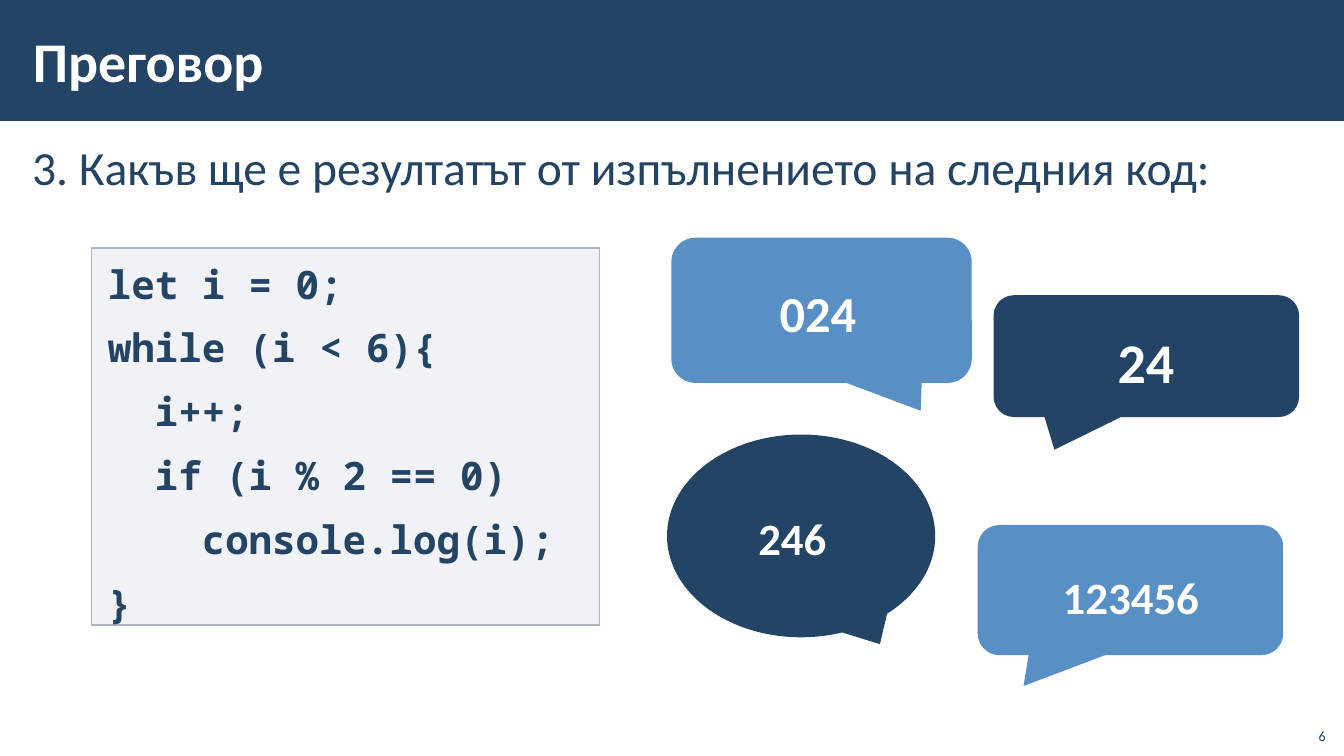
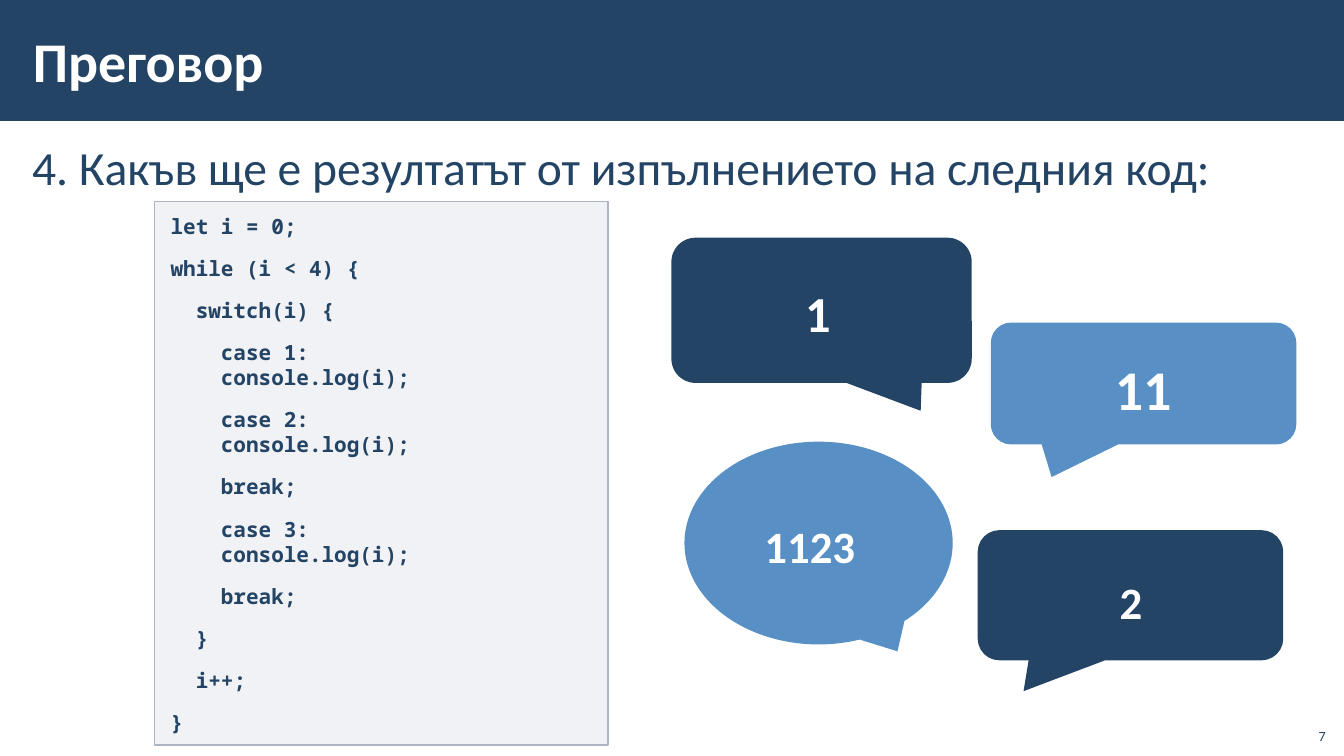
"""Build two review slides that ask what a piece of code prints."""
from lxml.etree import SubElement
from pptx import Presentation
from pptx.dml.color import RGBColor
from pptx.enum.shapes import MSO_SHAPE as Preset
from pptx.enum.text import MSO_ANCHOR as Anchor, PP_ALIGN as Align
from pptx.oxml.ns import qn
from pptx.util import Cm, Pt

NAVY = RGBColor(0x23, 0x44, 0x65)
BLUE = RGBColor(0x58, 0x8F, 0xC5)
WHITE = RGBColor(0xFF, 0xFF, 0xFF)
CODE_FILL = RGBColor(0xA3, 0xAB, 0xBC)
CODE_LINE = RGBColor(0xAD, 0xB4, 0xC3)
TEXT_FONT = "Calibri"
CODE_FONT = "Noto Sans Mono"

WIDTH, HEIGHT = 33.87, 19.05
BAND_BOX = (0, 0, WIDTH, 3.05)
TITLE_BOX = (0.53, 0.28, 27, 2.46)
QUESTION_BOX = (0.51, 3.3, 32.79, 14.4)
NUMBER_BOX = (32.64, 18.08, 1.02, 0.81)
TEXT_INSETS = (0.3, 0.1, 0.3, 0.1)
CODE_INSETS = (0.41, 0.3, 0.41, 0.3)
NUMBER_INSETS = (0.25, 0.13, 0.25, 0.13)

TITLE = "Преговор"
QUESTION = "{}. Какъв ще е резултатът от изпълнението на следния код:"

BUBBLES = {
    "ellipse": dict(preset=Preset.OVAL_CALLOUT, size=(6.76, 5.11), tail=(0.294, 0.534),
                    label=(-1.63, 1.63, 8.31, 1.98), points=32, spacing=1.0, indent=1.27),
    "right": dict(preset=Preset.ROUNDED_RECTANGULAR_CALLOUT, size=(7.7, 3.07), tail=(-0.301, 0.768),
                  label=(0.03, 0.34, 7.62, 2.39), points=40, spacing=1.1, indent=0),
    "bottom": dict(preset=Preset.ROUNDED_RECTANGULAR_CALLOUT, size=(7.7, 3.28), tail=(-0.35, 0.737),
                   label=(-0.05, 0.7, 7.82, 2.03), points=32, spacing=1.1, indent=0),
    "top": dict(preset=Preset.ROUNDED_RECTANGULAR_CALLOUT, size=(7.57, 3.66), tail=(0.33, 0.692),
                label=(0.81, 0.66, 5.77, 2.21), points=36, spacing=1.1, indent=0),
}

SLIDES = [
    dict(
        question=3, number=6, code_box=(2.31, 6.25, 12.8, 9.5), code_points=28,
        code=["let i = 0;", "while (i < 6){", "  i++;", "  if (i % 2 == 0)",
              "    console.log(i);", "}"],
        answers=[("ellipse", "246", NAVY, (16.81, 10.95)), ("right", "24", NAVY, (25.04, 7.44)),
                 ("bottom", "123456", BLUE, (24.64, 13.23)), ("top", "024", BLUE, (16.92, 5.99))],
    ),
    dict(
        question=4, number=7, code_box=(3.89, 5.08, 11.43, 13.69), code_points=15,
        code=["let i = 0;", "while (i < 4) {", "  switch(i) {",
              "    case 1:\n    console.log(i);", "    case 2:\n    console.log(i);",
              "    break;", "    case 3:\n    console.log(i);", "    break;",
              "  }", "  i++;", "}"],
        answers=[("ellipse", "1123", BLUE, (17.25, 11.13)), ("right", "11", BLUE, (24.97, 8.13)),
                 ("bottom", "2", NAVY, (24.64, 13.36)), ("top", "1", NAVY, (16.92, 5.99))],
    ),
]


def lengths(values):
    return [Cm(value) for value in values]


def add_filled(shapes, preset, box, color):
    shape = shapes.add_shape(preset, *lengths(box))
    shape.shadow.inherit = False
    shape.fill.solid()
    shape.fill.fore_color.rgb = color
    shape.line.fill.background()
    return shape


def add_text(shapes, box, lines, points, color=NAVY, font=TEXT_FONT, bold=False, align=Align.LEFT,
             anchor=Anchor.TOP, insets=TEXT_INSETS, spacing=1.0, gap=0):
    shape = shapes.add_textbox(*lengths(box))
    frame = shape.text_frame
    frame.word_wrap = True
    frame.vertical_anchor = anchor
    (frame.margin_left, frame.margin_top,
     frame.margin_right, frame.margin_bottom) = lengths(insets)
    for index, line in enumerate(lines):
        paragraph = frame.add_paragraph() if index else frame.paragraphs[0]
        paragraph.alignment = align
        paragraph.line_spacing = spacing
        paragraph.space_before = paragraph.space_after = Pt(gap)
        for part, text in enumerate(line.split("\n")):
            if part:
                paragraph.add_line_break()
            run = paragraph.add_run()
            run.text = text
            run.font.name = font
            run.font.size = Pt(points)
            run.font.bold = bold
            run.font.color.rgb = color
    return shape


def add_code(shapes, box, lines, points):
    shape = add_text(shapes, box, lines, points, font=CODE_FONT, bold=True,
                     insets=CODE_INSETS, gap=6)
    shape.fill.solid()
    shape.fill.fore_color.rgb = CODE_FILL
    fill_color = next(shape.element.iter(qn("a:srgbClr")))
    SubElement(fill_color, qn("a:alpha"), val="15000")
    shape.line.color.rgb = CODE_LINE
    shape.line.width = Pt(1)


def add_answer(shapes, kind, text, color, position):
    bubble = BUBBLES[kind]
    group = shapes.add_group_shape()
    callout = add_filled(group.shapes, bubble["preset"], (*position, *bubble["size"]), color)
    for index, value in enumerate(bubble["tail"]):
        callout.adjustments[index] = value
    left, top, width, height = bubble["label"]
    inset_left, *other_insets = CODE_INSETS
    add_text(group.shapes, (position[0] + left, position[1] + top, width, height), [text],
             bubble["points"], WHITE, bold=True, align=Align.CENTER,
             insets=(inset_left + bubble["indent"], *other_insets), spacing=bubble["spacing"])


def add_review_slide(presentation, content):
    shapes = presentation.slides.add_slide(presentation.slide_layouts[6]).shapes
    add_filled(shapes, Preset.RECTANGLE, BAND_BOX, NAVY)
    add_text(shapes, QUESTION_BOX, [QUESTION.format(content["question"])], 34, spacing=1.05, gap=6)
    add_code(shapes, content["code_box"], content["code"], content["code_points"])
    add_text(shapes, TITLE_BOX, [TITLE], 40, WHITE, bold=True, anchor=Anchor.MIDDLE)
    for answer in content["answers"]:
        add_answer(shapes, *answer)
    add_text(shapes, NUMBER_BOX, [str(content["number"])], 10, align=Align.RIGHT,
             anchor=Anchor.BOTTOM, insets=NUMBER_INSETS)


presentation = Presentation()
presentation.slide_width, presentation.slide_height = Cm(WIDTH), Cm(HEIGHT)
for content in SLIDES:
    add_review_slide(presentation, content)
presentation.save("out.pptx")
